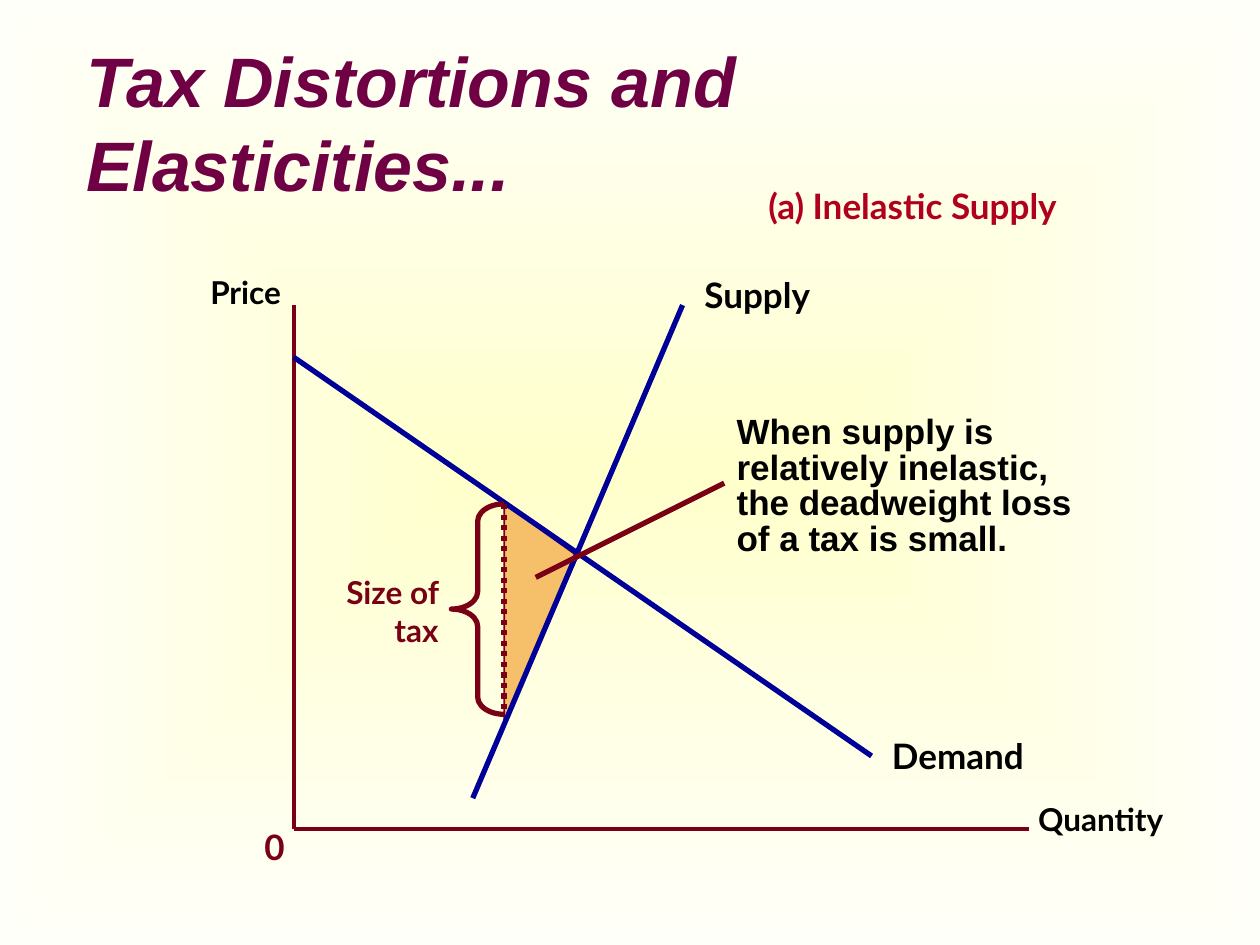
from lxml.etree import SubElement
from pptx import Presentation
from pptx.dml.color import RGBColor
from pptx.enum.dml import MSO_LINE_DASH_STYLE as Dash
from pptx.enum.shapes import MSO_CONNECTOR as Link, MSO_SHAPE as Kind
from pptx.enum.text import MSO_ANCHOR as Anchor, MSO_AUTO_SIZE as Auto, PP_ALIGN as Align
from pptx.oxml.ns import qn
from pptx.util import Cm, Pt

HUES = {
    "plum": "6E0043", "wine": "790015", "red": "B0001D", "navy": "000099",
    "black": "000000", "sand": "F6BF69", "cream": "FFFFCC", "ivory": "FFFFFA",
}

TITLE = "Tax Distortions and Elasticities..."
NOTE = ["When supply is", "relatively inelastic,",
        "the deadweight loss", "of a tax is small."]

TAGS = [
    ("Quantity", (20.93, 16.13, 2.82, 0.76), 18, "black"),
    ("Price", (4.24, 5.51, 1.57, 0.76), 18, "black"),
    ("Demand", (17.98, 14.81, 2.97, 0.84), 20, "black"),
    ("Supply", (14.2, 5.51, 2.36, 0.84), 20, "black"),
]
BOXES = [
    (["0"], (5.08, 16.51, 1.9, 1.12), 20, "wine", "Lato", Align.LEFT, 1),
    (NOTE, (14.6, 8.26, 7.62, 3.15), 20, "black", "Arial", Align.LEFT, 0.85),
    (["(a) Inelastic Supply"], (15.24, 3.6, 9.52, 1.12), 20, "red", "Lato", Align.LEFT, 1),
    (["Size of tax"], (6.55, 11.43, 2.54, 1.78), 18, "wine", "Lato", Align.RIGHT, 1),
]

AXES = [
    ((5.92, 6.15), (5.92, 16.72), "wine", 2.25),
    ((5.92, 16.72), (20.75, 16.72), "wine", 2.25),
]
CURVES = [
    ((5.92, 7.2), (17.57, 15.24), "navy", 3),
    ((9.53, 16.09), (13.76, 6.15), "navy", 3),
]
LEADER = ((10.8, 11.64), (14.6, 9.74), "wine", 3)
WEDGE = ((10.16, 10.16), (10.16, 14.4), "wine", 3)
LOSS = (8.68, 11.63, 4.45, 1.48)
BRACE = (9.1, 10.16, 1.06, 4.24)


def hue(name):
    return RGBColor.from_string(HUES[name])


def cm(vals):
    return [Cm(v) for v in vals]


def style(para, size, tint, face):
    font = para.font
    font.size, font.name, font.bold = Pt(size), face, True
    font.color.rgb = hue(tint)


def rule(start, end, tint, width):
    line = shapes.add_connector(Link.STRAIGHT, *cm(start + end))
    line.line.color.rgb = hue(tint)
    line.line.width = Pt(width)
    SubElement(line.element.spPr, qn("a:effectLst"))
    return line


def shape(kind, place, width):
    item = shapes.add_shape(kind, *cm(place))
    item.shadow.inherit = False
    item.line.color.rgb = hue("wine")
    item.line.width = Pt(width)
    return item


def text(lines, place, size, tint, face="Lato", align=Align.LEFT, gap=1, tight=False):
    frame = shapes.add_textbox(*cm(place)).text_frame
    frame.word_wrap = not tight
    if tight:
        frame.margin_left = frame.margin_right = 0
        frame.margin_top = frame.margin_bottom = 0
    frame.text = "\n".join(lines)
    for para in frame.paragraphs:
        style(para, size, tint, face)
        para.alignment, para.line_spacing = align, gap


deck = Presentation()
deck.slide_width, deck.slide_height = Cm(25.4), Cm(19.05)
slide = deck.slides.add_slide(deck.slide_layouts[5])
shapes = slide.shapes

back = slide.background.fill
back.gradient()
for stop, name in zip(back.gradient_stops, ("cream", "ivory")):
    stop.color.rgb = hue(name)
grad = slide.element.find(".//" + qn("a:gradFill"))
grad.remove(grad.find(qn("a:lin")))
focus = SubElement(SubElement(grad, qn("a:path"), path="rect"), qn("a:fillToRect"))
for side in "ltrb":
    focus.set(side, "50000")

title = shapes.title
title.left, title.top, title.width, title.height = cm((1.48, 0.85, 21.59, 3.18))
head = title.text_frame
head.text = TITLE
head.auto_size, head.vertical_anchor = Auto.NONE, Anchor.MIDDLE
head.paragraphs[0].alignment = Align.LEFT
head.paragraphs[0].font.italic = True
style(head.paragraphs[0], 40, "plum", "Arial")

loss = shape(Kind.ISOSCELES_TRIANGLE, LOSS, 1)
loss.rotation = 90
loss.adjustments[0] = 0.24
loss.fill.solid()
loss.fill.fore_color.rgb = hue("sand")

for part in AXES + CURVES + [LEADER]:
    rule(*part)
rule(*WEDGE).line.dash_style = Dash.ROUND_DOT

brace = shape(Kind.LEFT_BRACE, BRACE, 3)
brace.adjustments[0] = 0.33
brace.fill.background()

for word, place, size, tint in TAGS:
    text([word], place, size, tint, tight=True)
for box in BOXES:
    text(*box)

deck.save("out.pptx")
